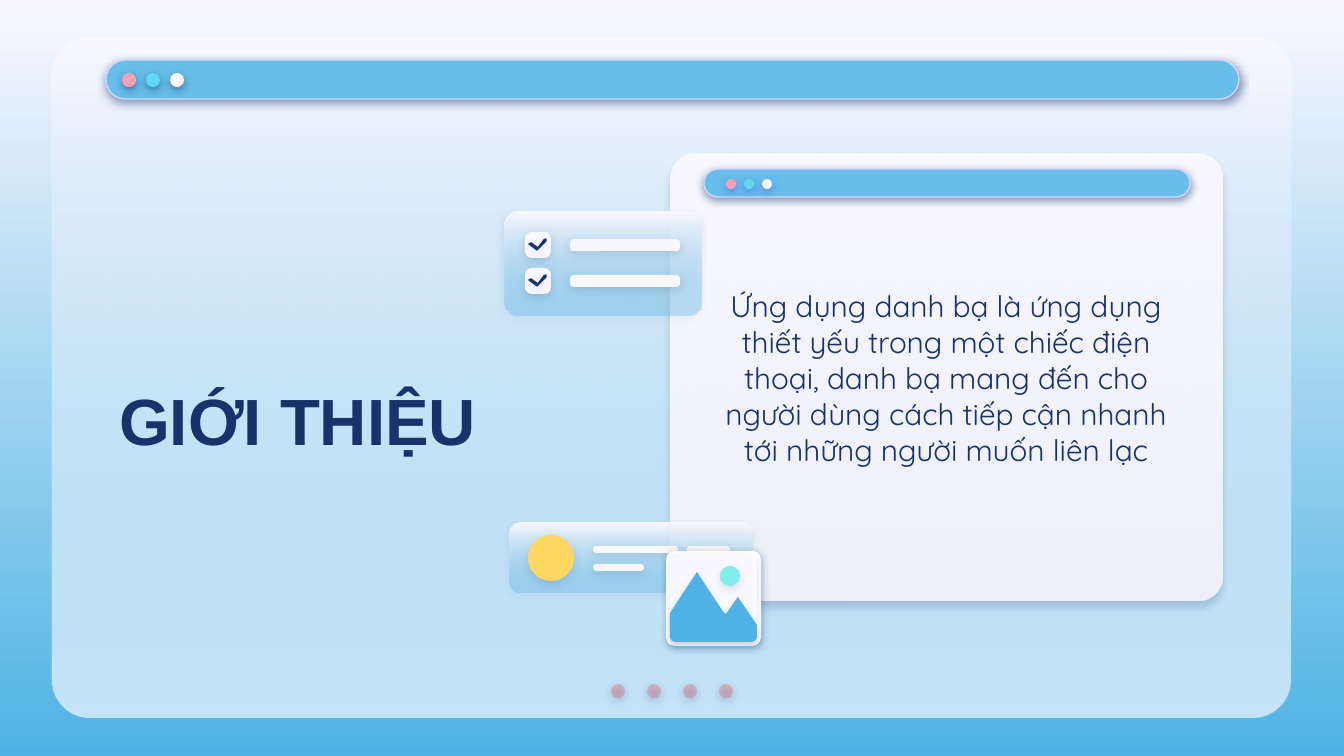
"""Build the introduction slide of a contacts app deck, styled as app windows."""
from dataclasses import dataclass

from lxml import etree
from pptx import Presentation
from pptx import util as u
from pptx.dml.color import RGBColor
from pptx.enum import shapes, text
from pptx.oxml.ns import qn

PX = 914400 / 134.4
ROUND = shapes.MSO_SHAPE.ROUNDED_RECTANGLE
OVAL = shapes.MSO_SHAPE.OVAL


@dataclass(frozen=True)
class Theme:
    navy: str = "17336B"
    violet: str = "5352EE"
    paper: str = "F9F8FF"
    white: str = "FFFFFF"
    sky: str = "4EB3E4"
    bar: str = "66BEE9"
    border: str = "D2D6FF"
    rose: str = "E27B83"
    pink: str = "FDA0B4"
    cyan: str = "60D8F4"
    yellow: str = "FFD65F"
    mint: str = "81EEEB"
    title_font: str = "Arial"
    body_font: str = "Quicksand"
    title_size: int = 35
    body_size: int = 16


THEME = Theme()

TITLE = "GIỚI THIỆU"
BODY = (
    "Ứng dụng danh bạ là ứng dụng thiết yếu trong một chiếc điện thoại, "
    "danh bạ mang đến cho người dùng cách tiếp cận nhanh tới những người muốn liên lạc"
)

STRONG = (THEME.navy, 50, 1.5, 90)
VIOLET = (THEME.violet, 50, 1.5, 90)
CARD = (THEME.navy, 22, 3.8, 91)
LIGHT = (THEME.navy, 15, 1.5, 90)
FAINT = (THEME.navy, 13, 1.5, 90)
FRAME = (THEME.navy, 33, 1.5, 64)
TICK_SHADOW = (THEME.violet, 15, 1.5, 90)

GLASS = (THEME.paper, THEME.bar)
BUTTONS = (THEME.pink, THEME.cyan, THEME.paper)
PAGER = (611, 684, 14, 36)
WINDOW_BUTTONS = (122, 73, 14, 24)
CARD_BUTTONS = (726, 179, 10, 18)
CHECK_ROWS, CHECK_PITCH = 2, 36
TICK = [(546, 239), (544, 240), (538, 248), (531, 243), (529, 244), (537, 250), (546, 241)]
PROFILE_LINES = [(593, 546, 85, 7), (687, 546, 43, 7), (593, 564, 51, 7)]
MOUNTAINS = [
    (697, 572), (670, 613), (670, 637), (671, 640), (675, 642), (752, 642),
    (756, 640), (757, 637), (757, 625), (738, 597), (726, 614), (724, 613),
]


def px(value):
    return u.Emu(round(value * PX))


def rgb(colour):
    return RGBColor.from_string(colour)


def fill_gradient(fill, colours):
    fill.gradient()
    fill.gradient_angle = 270
    for stop, colour in zip(fill.gradient_stops, colours):
        stop.color.rgb = rgb(colour)


def set_alpha(colour_element, percent):
    etree.SubElement(colour_element, qn("a:alpha"), val=str(percent * 1000))


def add_shadow(shape, colour, alpha, distance, angle):
    effects = shape._element.spPr.find(qn("a:effectLst"))
    outer = etree.SubElement(
        effects, qn("a:outerShdw"), blurRad=str(u.Pt(4.5)), dist=str(u.Pt(distance)),
        dir=str(angle * 60000), algn="bl", rotWithShape="0",
    )
    set_alpha(etree.SubElement(outer, qn("a:srgbClr"), val=colour), alpha)


def style(shape, fill, alpha=None, line=None, shadow=None):
    if isinstance(fill, tuple):
        fill_gradient(shape.fill, fill)
    else:
        shape.fill.solid()
        shape.fill.fore_color.rgb = rgb(fill)
    if alpha is not None:
        set_alpha(shape._element.spPr.xpath(".//a:srgbClr")[-1], alpha)
    if line:
        shape.line.color.rgb = rgb(line)
        shape.line.width = u.Pt(0.75)
    else:
        shape.line.fill.background()
    shape.shadow.inherit = False
    if shadow:
        add_shadow(shape, *shadow)


def add_preset(slide, kind, box, fill, corner=None, **look):
    shape = slide.shapes.add_shape(kind, *map(px, box))
    if corner is not None:
        shape.adjustments[0] = corner
    style(shape, fill, **look)


def add_outline(slide, points, fill, **look):
    builder = slide.shapes.build_freeform(*points[0], scale=PX)
    builder.add_line_segments(points[1:], close=True)
    style(builder.convert_to_shape(), fill, **look)


def add_dots(slide, row, colours, **look):
    left, top, size, pitch = row
    for index, colour in enumerate(colours):
        add_preset(slide, OVAL, (left + index * pitch, top, size, size), colour, **look)


def add_text(slide, content, *, box, font, size, bold=False, align=None, after=0):
    frame = slide.shapes.add_textbox(*map(px, box)).text_frame
    frame.word_wrap = True
    frame.vertical_anchor = text.MSO_ANCHOR.MIDDLE
    frame.margin_left = frame.margin_right = u.Inches(0.1)
    frame.margin_top = frame.margin_bottom = u.Inches(0.1)
    paragraph = frame.paragraphs[0]
    paragraph.alignment = align
    paragraph.space_after = u.Pt(after)
    run = paragraph.add_run()
    run.text = content
    run.font.name = font
    run.font.size = u.Pt(size)
    run.font.bold = bold
    run.font.color.rgb = rgb(THEME.navy)


def add_window(slide):
    panel = (52, 38, 1239, 680)
    add_preset(slide, ROUND, panel, THEME.paper, corner=0.056)
    add_preset(slide, ROUND, panel, GLASS, corner=0.056, alpha=35)
    add_dots(slide, PAGER, [THEME.rose] * 4, alpha=44, shadow=STRONG)
    add_preset(slide, ROUND, (106, 60, 1133, 39), THEME.bar, corner=0.5,
               line=THEME.border, shadow=STRONG)
    add_dots(slide, WINDOW_BUTTONS, BUTTONS, shadow=STRONG)


def add_card(slide):
    add_preset(slide, ROUND, (671, 154, 551, 447), (THEME.paper, THEME.paper),
               corner=0.056, alpha=87, shadow=CARD)
    add_preset(slide, ROUND, (704, 169, 486, 28), THEME.bar, corner=0.5,
               line=THEME.border, shadow=STRONG)
    add_dots(slide, CARD_BUTTONS, BUTTONS, shadow=VIOLET)


def add_checklist(slide):
    add_preset(slide, ROUND, (504, 212, 197, 103), GLASS, corner=0.13, alpha=35, shadow=LIGHT)
    for row in range(CHECK_ROWS):
        drop = row * CHECK_PITCH
        add_preset(slide, ROUND, (570, 239 + drop, 110, 12), THEME.paper, corner=0.3, shadow=LIGHT)
        add_preset(slide, ROUND, (525, 232 + drop, 26, 26), THEME.paper, corner=0.25, shadow=LIGHT)
        add_outline(slide, [(x, y + drop) for x, y in TICK], THEME.navy,
                    line=THEME.navy, shadow=TICK_SHADOW)


def add_profile(slide):
    add_preset(slide, ROUND, (510, 523, 242, 70), GLASS, corner=0.15, alpha=35, shadow=FAINT)
    add_preset(slide, OVAL, (528, 535, 46, 46), THEME.yellow, shadow=FAINT)
    for box in PROFILE_LINES:
        add_preset(slide, ROUND, box, THEME.paper, corner=0.5, shadow=FAINT)


def add_landscape(slide):
    add_preset(slide, ROUND, (666, 551, 95, 95), THEME.white, corner=0.09, shadow=FRAME)
    add_preset(slide, ROUND, (670, 555, 87, 87), THEME.paper, corner=0.06, shadow=FAINT)
    add_outline(slide, MOUNTAINS, THEME.sky, shadow=FAINT)
    add_preset(slide, OVAL, (720, 566, 20, 20), THEME.mint, shadow=FAINT)


def main():
    presentation = Presentation()
    presentation.slide_width, presentation.slide_height = px(1344), px(756)
    slide = presentation.slides.add_slide(presentation.slide_layouts[6])
    fill_gradient(slide.background.fill, (THEME.paper, THEME.sky))
    add_window(slide)
    add_text(slide, TITLE, box=(106, 314, 485, 210), font=THEME.title_font,
             size=THEME.title_size, bold=True)
    add_card(slide)
    add_text(slide, BODY, box=(692, 212, 508, 331), font=THEME.body_font,
             size=THEME.body_size, align=text.PP_ALIGN.CENTER, after=12)
    add_checklist(slide)
    add_profile(slide)
    add_landscape(slide)
    presentation.save("out.pptx")


if __name__ == "__main__":
    main()
